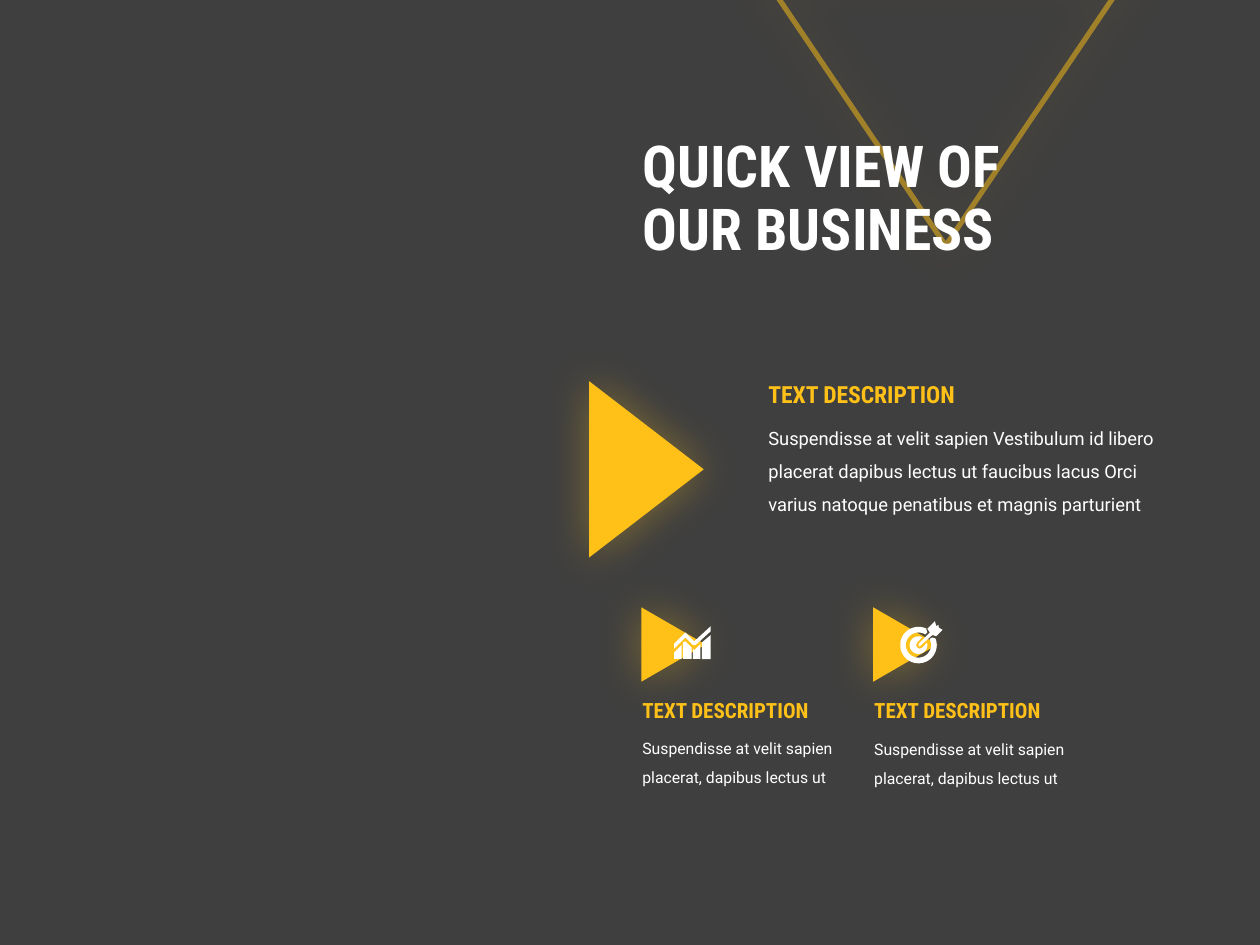
from dataclasses import dataclass
from math import cos, radians, sin

from lxml import etree
from pptx import Presentation
from pptx.dml.color import RGBColor
from pptx.enum.shapes import MSO_SHAPE
from pptx.enum.text import MSO_ANCHOR, MSO_AUTO_SIZE, PP_ALIGN
from pptx.oxml.ns import qn
from pptx.util import Inches, Pt

TRIANGLE = MSO_SHAPE.ISOSCELES_TRIANGLE
MIDDLE = MSO_ANCHOR.MIDDLE
GROW = MSO_AUTO_SIZE.SHAPE_TO_FIT_TEXT
LEFT = PP_ALIGN.LEFT

CHARCOAL = RGBColor(0x3F, 0x3F, 0x3F)
AMBER = RGBColor(0xFF, 0xC1, 0x18)
WHITE = RGBColor(0xFF, 0xFF, 0xFF)

HEADING_FONT = "Roboto Condensed"
BODY_FONT = "Roboto"
TITLE_LINES = ("QUICK VIEW OF", "OUR BUSINESS")
HEADING = "TEXT DESCRIPTION"
LONG_TEXT = (
    "Suspendisse at velit sapien Vestibulum id libero placerat dapibus "
    "lectus ut faucibus lacus Orci varius natoque penatibus et magnis parturient"
)
SHORT_TEXT = "Suspendisse at velit sapien placerat, dapibus lectus ut"

Point = tuple[float, float]
Box = tuple[float, float, float, float]


@dataclass(frozen=True)
class Feature:
    marker: Box
    heading: Box
    heading_size: float
    body: Box
    body_size: float
    text: str


FEATURES = (
    Feature((4.43, 3.27, 1.4, 0.91), (6, 2.97, 1.84, 0.33), 13.5,
            (6, 3.25, 3.41, 0.87), 10.5, LONG_TEXT),
    Feature((5.05, 4.86, 0.59, 0.51), (5, 5.49, 1.66, 0.3), 12,
            (5, 5.74, 1.74, 0.53), 9, SHORT_TEXT),
    Feature((6.89, 4.86, 0.59, 0.51), (6.84, 5.49, 1.66, 0.3), 12,
            (6.84, 5.75, 1.74, 0.53), 9, SHORT_TEXT),
)


def arc(radius: float, start: int, end: int) -> list[Point]:
    steps = 40
    angles = [radians(start + (end - start) * i / steps) for i in range(steps + 1)]
    return [(7.29 + radius * cos(a), 5.12 + radius * sin(a)) for a in angles]


CHART_ICON = (
    [(5.41, 5.23), (5.41, 5.12), (5.35, 5.18), (5.35, 5.23)],
    [(5.49, 5.23), (5.49, 5.14), (5.44, 5.09), (5.42, 5.1), (5.42, 5.23)],
    [(5.56, 5.23), (5.56, 5.11), (5.51, 5.16), (5.5, 5.15), (5.5, 5.23)],
    [(5.64, 5.23), (5.64, 5.04), (5.57, 5.1), (5.57, 5.23)],
    [(5.64, 4.97), (5.51, 5.09), (5.45, 5.03), (5.44, 5.02), (5.43, 5.03),
     (5.35, 5.11), (5.35, 5.15), (5.44, 5.06), (5.5, 5.12), (5.52, 5.12),
     (5.64, 5.01)],
)
TARGET_ICON = (
    arc(0.145, -21, 295) + [(7.36, 5.02)] + arc(0.1, 302, -29) + [(7.4, 5.06)],
    [(7.45, 4.96), (7.43, 4.97), (7.42, 4.93), (7.36, 4.99), (7.38, 5.02),
     (7.29, 5.11), (7.29, 5.13), (7.3, 5.13), (7.4, 5.04), (7.43, 5.05),
     (7.48, 5), (7.45, 4.98)],
    arc(0.07, -16, 295) + [(7.28, 5.1), (7.27, 5.12), (7.28, 5.14),
                           (7.3, 5.15), (7.32, 5.14)],
)


def add_alpha(color_element, percent: int) -> None:
    etree.SubElement(color_element, qn("a:alpha"), val=str(percent * 1000))


def add_triangle(slide, box: Box, rotation: int):
    shape = slide.shapes.add_shape(TRIANGLE, *map(Inches, box))
    shape.rotation = rotation
    shape.shadow.inherit = False
    effects = shape.element.spPr.find(qn("a:effectLst"))
    glow = etree.SubElement(effects, qn("a:outerShdw"), blurRad=str(Pt(25)),
                            dist="0", dir="0", algn="ctr", rotWithShape="0")
    add_alpha(etree.SubElement(glow, qn("a:srgbClr"), val=str(AMBER)), 35)
    return shape


def add_outline_triangle(slide, box: Box):
    shape = add_triangle(slide, box, 180)
    shape.fill.background()
    shape.line.color.rgb = AMBER
    shape.line.width = Pt(3)
    add_alpha(shape.line._ln.find(".//" + qn("a:srgbClr")), 50)
    return shape


def add_marker(slide, box: Box) -> None:
    shape = add_triangle(slide, box, 90)
    shape.fill.solid()
    shape.fill.fore_color.rgb = AMBER
    shape.line.fill.background()


def format_paragraph(paragraph, name: str, size: float, color: RGBColor,
                     bold: bool, spacing: float) -> None:
    for attribute, value in {"alignment": LEFT, "line_spacing": spacing}.items():
        setattr(paragraph, attribute, value)
    for run in paragraph.runs:
        for attribute, value in {"name": name, "size": Pt(size), "bold": bold}.items():
            setattr(run.font, attribute, value)
        run.font.color.rgb = color


def add_text(slide, box: Box, text: str, name: str, size: float,
             color: RGBColor, bold: bool, spacing: float) -> None:
    frame = slide.shapes.add_textbox(*map(Inches, box)).text_frame
    frame.word_wrap = True
    frame.auto_size = GROW
    paragraph = frame.paragraphs[0]
    paragraph.add_run().text = text
    format_paragraph(paragraph, name, size, color, bold, spacing)


def add_feature(slide, feature: Feature) -> None:
    add_marker(slide, feature.marker)
    add_text(slide, feature.body, feature.text, BODY_FONT,
             feature.body_size, WHITE, False, 1.5)
    add_text(slide, feature.heading, HEADING, HEADING_FONT,
             feature.heading_size, AMBER, True, 1.0)


def add_icon(slide, outlines: tuple[list[Point], ...]) -> None:
    group = slide.shapes.add_group_shape()
    for outline in outlines:
        points = [(Inches(x), Inches(y)) for x, y in outline]
        builder = group.shapes.build_freeform(*points[0])
        builder.add_line_segments(points[1:], close=True)
        shape = builder.convert_to_shape()
        shape.shadow.inherit = False
        shape.fill.solid()
        shape.fill.fore_color.rgb = WHITE
        shape.line.fill.background()


def set_title(slide):
    title = slide.shapes.title
    placement = zip(("left", "top", "width", "height"), (5, 0.8, 4.22, 1.58))
    for attribute, value in placement:
        setattr(title, attribute, Inches(value))
    frame = title.text_frame
    frame.word_wrap = True
    frame.vertical_anchor = MIDDLE
    paragraph = frame.paragraphs[0]
    first, second = TITLE_LINES
    paragraph.add_run().text = first
    paragraph.add_line_break()
    paragraph.add_run().text = second
    format_paragraph(paragraph, HEADING_FONT, 33, WHITE, True, 0.9)
    return title


def main() -> None:
    presentation = Presentation()
    presentation.slide_width = Inches(10)
    presentation.slide_height = Inches(7.5)
    slide = presentation.slides.add_slide(presentation.slide_layouts[5])
    slide.background.fill.solid()
    slide.background.fill.fore_color.rgb = CHARCOAL
    title = set_title(slide)
    outline = add_outline_triangle(slide, (6.06, -0.19, 2.89, 2.14))
    title.element.addprevious(outline.element)
    for feature in FEATURES:
        add_feature(slide, feature)
    for icon in (CHART_ICON, TARGET_ICON):
        add_icon(slide, icon)
    presentation.save("out.pptx")


if __name__ == "__main__":
    main()
